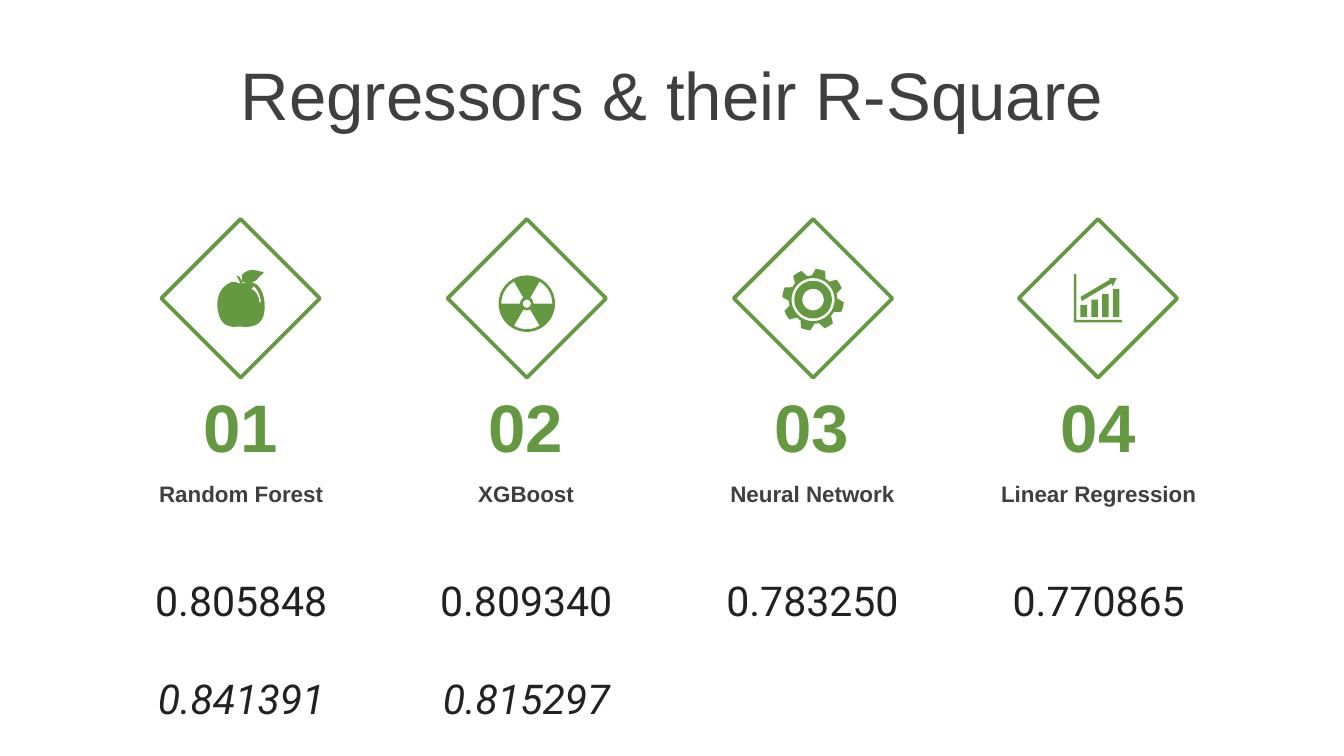
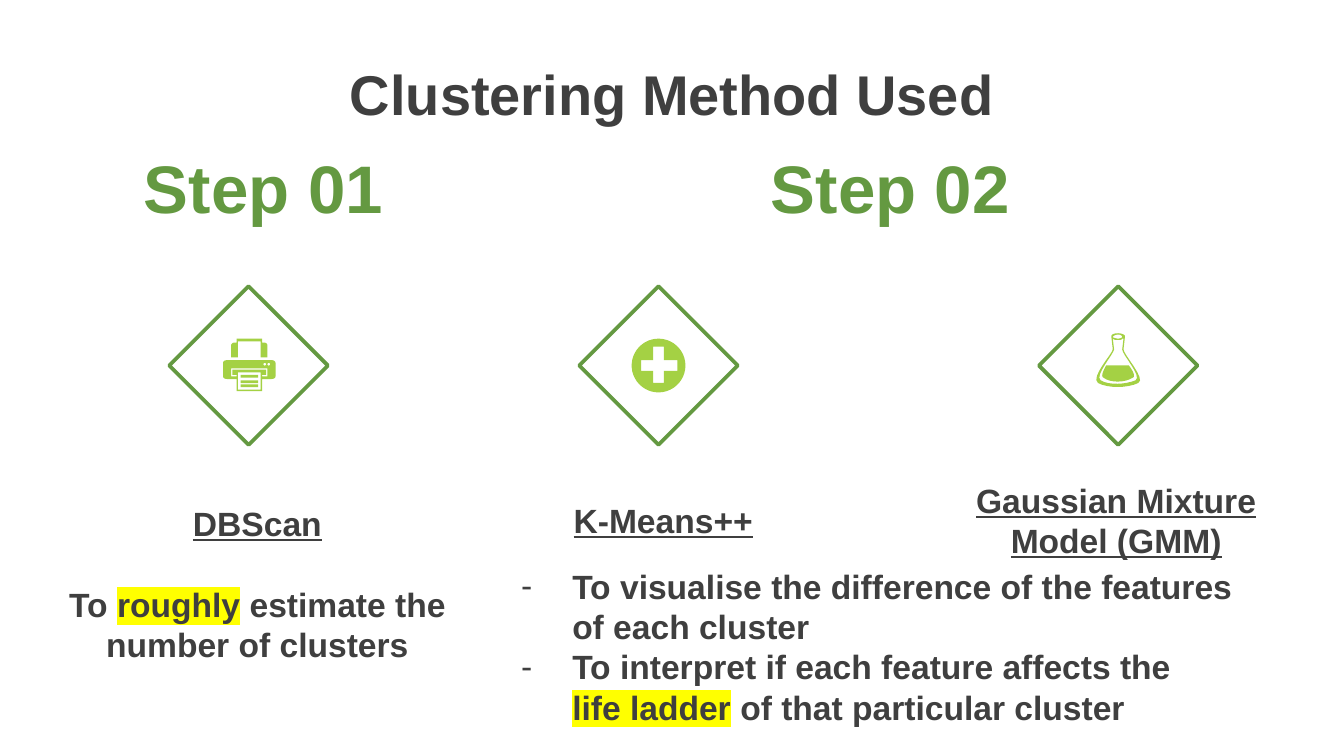
import math

import lxml.etree
import pptx
import pptx.dml.color
import pptx.enum.shapes
import pptx.enum.text
import pptx.oxml.ns
import pptx.util

PX = 9144
HUES = {"green": "649941", "lime": "A4D144", "dark": "3F3F3F",
        "ink": "212121", "white": "FFFFFF", "mark": "FFFF00"}
RGB = {name: pptx.dml.color.RGBColor.from_string(code) for name, code in HUES.items()}
TAG = pptx.oxml.ns.qn
ALIGN = pptx.enum.text.PP_ALIGN
ANCHOR = pptx.enum.text.MSO_ANCHOR
DIAMOND = pptx.enum.shapes.MSO_SHAPE.DIAMOND


def put(text, to=None, box=None, size=18, hue="dark", font="Arial", bold=True, slant=False,
        under=False, align=ALIGN.CENTER, top=None, gap=0, left=0, dash=False):
    if to is None:
        to = slide.shapes.add_textbox(0, 0, 0, 0)
    if box:
        to.left, to.top, to.width, to.height = [n * PX for n in box]
        frame = to.text_frame
        frame.word_wrap = True
        frame.auto_size = pptx.enum.text.MSO_AUTO_SIZE.NONE
        frame.margin_left = frame.margin_right = 10 * PX
        frame.margin_top = frame.margin_bottom = 5 * PX
        frame.vertical_anchor = ANCHOR.MIDDLE
        if top is not None:
            frame.vertical_anchor = ANCHOR.TOP
            frame.margin_top = top * PX
    frame = to.text_frame
    para = frame.add_paragraph() if frame.text else frame.paragraphs[0]
    para.alignment = align
    para.space_before = pptx.util.Pt(gap)
    props = para._p.get_or_add_pPr()
    if left:
        props.set("marL", str(left * PX))
        props.set("indent", str(-38 * PX if dash else 0))
    if dash:
        tint = lxml.etree.SubElement(props, TAG("a:buClr"))
        lxml.etree.SubElement(tint, TAG("a:srgbClr"), val=HUES[hue])
        lxml.etree.SubElement(props, TAG("a:buFont"), typeface=font)
        lxml.etree.SubElement(props, TAG("a:buChar"), char="-")
    for i, part in enumerate(text.split("|")):
        if not part:
            continue
        run = para.add_run()
        run.text = part
        run.font.size = pptx.util.Pt(size)
        run.font.name = font
        run.font.bold = bold
        run.font.italic = slant
        run.font.underline = under
        run.font.color.rgb = RGB[hue]
        if i % 2:
            glow = lxml.etree.Element(TAG("a:highlight"))
            lxml.etree.SubElement(glow, TAG("a:srgbClr"), val=HUES["mark"])
            run._r.rPr.find(TAG("a:solidFill")).addnext(glow)
    return to


def draw(loops, hue):
    pen = None
    for loop in loops:
        dots = []
        for step in loop:
            if len(step) == 2:
                dots.append(step)
            elif len(step) == 4:
                l, t, r, b = step
                dots += [(l, t), (r, t), (r, b), (l, b)]
            elif len(step) == 5:
                x, y, r, a, b = step
                count = max(2, int(abs(b - a) / 8))
                turns = [math.radians(a + (b - a) * k / count) for k in range(count + 1)]
                dots += [(x + r * math.cos(n), y + r * math.sin(n)) for n in turns]
            else:
                ends = [dots[-1], step[:2], step[2:4], step[4:]]
                for k in range(1, 9):
                    t = k / 8
                    mix = [(1 - t) ** 3, 3 * t * (1 - t) ** 2, 3 * t * t * (1 - t), t ** 3]
                    dots.append(tuple(sum(m * e[n] for m, e in zip(mix, ends)) for n in (0, 1)))
        dots = [(x * PX, y * PX) for x, y in dots]
        if pen is None:
            pen = slide.shapes.build_freeform(*dots[0], scale=1.0)
        else:
            pen.move_to(*dots[0])
        pen.add_line_segments(dots[1:], close=True)
    icon = pen.convert_to_shape()
    icon.shadow.inherit = False
    icon.fill.solid()
    icon.fill.fore_color.rgb = RGB[hue]
    icon.line.fill.background()


apple = [
    [(189, 213), (187, 215), (191, 217, 193, 221, 193, 225), (194, 225),
     (194, 220, 192, 216, 189, 213)],
    [(176, 205), (178, 206, 177, 205, 178, 206), (179, 207, 180, 209, 180, 211),
     (181, 211, 181, 210, 187, 210), (193, 211, 197, 218, 197, 228),
     (197, 238, 193, 245, 178, 243), (165, 245, 163, 236, 162, 230),
     (161, 225, 162, 214, 172, 210), (176, 209, 177, 211, 179, 211),
     (178, 209, 177, 207, 176, 205)],
    [(188, 201), (191, 201, 193, 202, 194, 202), (199, 203, 194, 204, 193, 206),
     (191, 208, 190, 210, 186, 210), (180, 210), (180, 205),
     (181, 203, 183, 202, 186, 201)],
]
fan = [[(392, 226, r, 0, 360)] for r in (21, 3)]
fan += [[(392, 226, 19, a, a + 60), (392, 226, 5, a + 60, a)] for a in (60, 180, 300)]
teeth = []
for a in range(-76, 284, 45):
    teeth += [(605, 223, 23, a - 9, a + 9), (605, 223, 18, a + 17, a + 28)]
gear = [teeth] + [[(605, 223, r, 0, 360)] for r in (16, 14, 8)]
graph = [[(l, t, l + 5, 236)] for l, t in ((804, 227), (812, 223), (820, 219), (828, 215))]
graph += [
    [(825, 207), (831, 207), (828, 213), (827, 211), (805, 224), (804, 221), (826, 208)],
    [(799, 204), (801, 204), (801, 238), (835, 238), (835, 240), (799, 240)],
]
sheet = [[(179, t, 192, t + 2)] for t in (279, 283, 286)]
sheet += [
    [(177, 277, 194, 290)],
    [(172, 274), (172, 280), (176, 280), (176, 279), (173, 279), (173, 275), (198, 275),
     (198, 279), (195, 279), (195, 280), (199, 280), (199, 274)],
    [(197, 271, 1, 0, 360)],
    [(200, 271, 1, 0, 360)],
    [(169, 268), (202, 268), (204, 268, 205, 269, 205, 270), (205, 280),
     (205, 281, 204, 282, 202, 282), (195, 282), (195, 291), (176, 291), (176, 282),
     (169, 282), (167, 282, 166, 281, 166, 280), (166, 270),
     (166, 269, 167, 268, 169, 268)],
    [(176, 252), (195, 252), (195, 255), (197, 255), (198, 255, 199, 256, 199, 257),
     (199, 266), (194, 266), (194, 254), (177, 254), (177, 266), (172, 266), (172, 257),
     (172, 256, 173, 255, 174, 255), (176, 255)],
]
plus = [
    [(490, 272, 20, 0, 360)],
    [(486, 258), (486, 268), (477, 268), (477, 276), (486, 276), (486, 285), (494, 285),
     (494, 276), (504, 276), (504, 268), (494, 268), (494, 258)],
]
flask = [
    [(840, 272), (843, 276, 845, 280, 843, 281), (837, 285, 826, 285, 821, 281),
     (819, 280, 821, 276, 823, 272)],
    [(828, 252), (829, 260), (829, 263, 814, 280, 819, 283),
     (825, 287, 838, 286, 845, 283), (850, 280, 835, 264, 835, 260), (836, 252),
     (835, 252), (835, 253, 833, 253, 832, 253), (830, 253, 829, 253, 828, 252)],
    [(832, 249), (830, 249, 828, 250, 828, 251), (828, 251, 830, 252, 832, 252),
     (834, 252, 835, 251, 835, 251), (835, 250, 834, 249, 832, 249)],
    [(832, 248), (834, 248, 837, 249, 837, 250), (837, 251), (836, 260),
     (836, 264, 853, 282, 847, 285), (839, 289, 824, 289, 817, 285),
     (811, 281, 828, 263, 828, 260), (827, 251), (827, 250),
     (827, 249, 829, 248, 832, 248)],
]

deck = pptx.Presentation()
deck.slide_width = 1000 * PX
deck.slide_height = deck.slide_width * 9 // 16
pages = [
    ("Regressors & their R-Square", 36, False, "green", 163,
     [(120, apple), (333, fan), (546, gear), (758, graph)]),
    ("Clustering Method Used", 30, True, "lime", 213,
     [(126, sheet), (431, plus), (773, flask)]),
]
for title, size, bold, hue, y, icons in pages:
    slide = deck.slides.add_slide(deck.slide_layouts[5])
    put(title, to=slide.shapes.title, box=(0, 38, 1000, 63), size=size, bold=bold)
    for x, loops in icons:
        gem = slide.shapes.add_shape(DIAMOND, x * PX, y * PX, 118 * PX, 118 * PX)
        gem.shadow.inherit = False
        gem.fill.solid()
        gem.fill.fore_color.rgb = RGB["white"]
        gem.line.color.rgb = RGB["green"]
        gem.line.width = pptx.util.Pt(2)
        draw(loops, hue)

slide = deck.slides[0]
models = [
    ("Random Forest", "0.805848", "0.841391"),
    ("XGBoost", "0.809340", "0.815297"),
    ("Neural Network", "0.783250", ""),
    ("Linear Regression", "0.770865", ""),
]
score = {"size": 22, "font": "Roboto", "hue": "ink", "bold": False}
for i, (name, base, tuned) in enumerate(models):
    x = 94 + 638 * i // 3
    put(f"{i + 1:02d}", box=(x + 38, 281, 94, 71), size=36, hue="green")
    put(name, box=(x, 352, 171, 31), size=12)
    cell = put(base, box=(x + 1, 380, 169, 131), top=48, **score)
    if tuned:
        put(tuned, to=cell, slant=True, gap=26, **score)

slide = deck.slides[1]
for step, x, w in (("Step 01", 70, 252), ("Step 02", 543, 239)):
    put(step, box=(x, 103, w, 71), size=36, hue="green")
scan = put("DBScan", box=(39, 374, 305, 143), top=0, under=True)
put("To |roughly| estimate the number of clusters", to=scan, gap=22)
put("K-Means++", box=(408, 372, 171, 35), top=0, under=True)
put("Gaussian Mixture Model (GMM)", box=(711, 357, 239, 143), top=0, under=True)
item = {"align": ALIGN.LEFT, "left": 50}
goals = put("To visualise the difference of the features of each cluster",
            box=(366, 421, 584, 130), top=0, dash=True, **item)
put("To interpret if each feature affects the", to=goals, dash=True, **item)
put("|life ladder| of that particular cluster", to=goals, **item)

deck.save("out.pptx")
